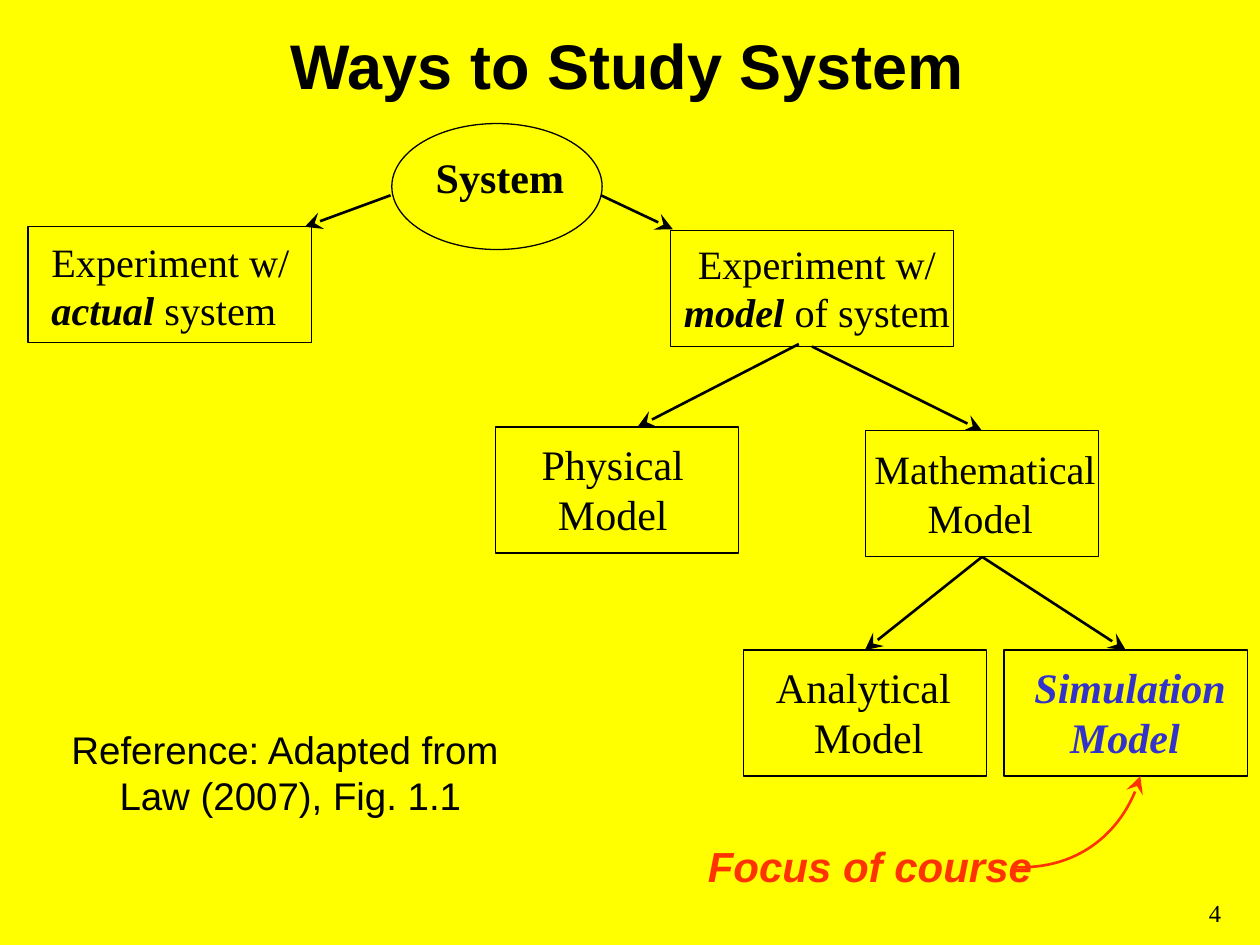
from lxml import etree
from pptx import Presentation
from pptx.dml.color import RGBColor
from pptx.enum.shapes import MSO_CONNECTOR, MSO_SHAPE
from pptx.enum.text import MSO_ANCHOR, PP_ALIGN
from pptx.oxml.ns import qn
from pptx.util import Pt

SERIF, SANS = "Times New Roman", "Arial"
BLACK, RED, BLUE = "000000", "FF3300", "3333CC"
LEFT, CENTER, RIGHT = PP_ALIGN.LEFT, PP_ALIGN.CENTER, PP_ALIGN.RIGHT
TOP, BOTTOM = 0, 2
STEALTH = {"type": "stealth", "w": "lg", "len": "lg"}


def rgb(value):
    return RGBColor.from_string(value)


def add_text(box, paragraphs, size, font=SERIF, color=BLACK, align=CENTER, wrap=False):
    """Each paragraph is a list of (text, bold, italic) runs."""
    tf = s.shapes.add_textbox(*map(Pt, box)).text_frame
    tf.word_wrap = wrap
    for i, runs in enumerate(paragraphs):
        p = tf.paragraphs[0] if i == 0 else tf.add_paragraph()
        p.alignment = align
        for text, bold, italic in runs:
            r = p.add_run()
            r.text = text
            r.font.name, r.font.size = font, Pt(size)
            r.font.bold, r.font.italic = bold, italic
            r.font.color.rgb = rgb(color)
    return tf


prs = Presentation()
prs.slide_width, prs.slide_height = Pt(720), Pt(540)
s = prs.slides.add_slide(prs.slide_layouts[6])
s.background.fill.solid()
s.background.fill.fore_color.rgb = rgb("FFFF00")

# Title and slide number
tf = add_text((57.6, 0, 612, 73), [[("Ways to Study System ", True, False)]], 36, SANS, wrap=True)
tf.vertical_anchor = MSO_ANCHOR.MIDDLE
add_text((555.1, 509.8, 149.8, 36), [[("4", False, False)]], 14, align=RIGHT, wrap=True)

# Outlines of the tree nodes
RECT, OVAL = MSO_SHAPE.RECTANGLE, MSO_SHAPE.OVAL
outlines = {
    "system": (OVAL, 223.9, 70.6, 120.2, 72),
    "actual": (RECT, 16, 129.6, 162, 66.2),
    "model": (RECT, 383, 131.8, 162, 66.2),
    "physical": (RECT, 283, 244, 139, 72),
    "mathematical": (RECT, 494.6, 246.2, 133.2, 72),
    "analytical": (RECT, 424.8, 371.5, 139, 72),
    "simulation": (RECT, 573.8, 371.5, 139, 72),
}
nodes = {}
for name, (kind, *box) in outlines.items():
    sp = s.shapes.add_shape(kind, *map(Pt, box))
    sp.shadow.inherit = False
    sp.fill.background()
    sp.line.color.rgb = rgb(BLACK)
    sp.line.width = Pt(0.75)
    nodes[name] = sp

# Node labels
add_text((241.9, 82.8, 87.8, 36), [[("System", True, False)]], 24, align=LEFT)
for box, word, ending, align in [
    ((22.3, 131.8, 167.8, 62.6), "actual", " system", LEFT),
    ((383, 133.2, 167.8, 62.6), "model", " of system", CENTER),
]:
    runs = [("Experiment w/ ", False, False), (word, True, True), (ending, False, False)]
    add_text(box, [runs], 23, align=align, wrap=True)
for box, lines, size, color, strong in [
    ((302.4, 247, 101.5, 64.8), ("Physical ", "Model "), 24, BLACK, False),
    ((492.5, 250.6, 141.1, 62.6), ("Mathematical", "Model "), 23, BLACK, False),
    ((436.3, 374.4, 120.2, 64.8), ("Analytical ", "Model"), 24, BLACK, False),
    ((583.9, 374.4, 123.8, 64.8), ("Simulation", "Model "), 24, BLUE, True),
]:
    add_text(box, [[(line, strong, strong)] for line in lines], size, color=color)

# Reference and focus notes
reference = ("Reference: Adapted from ", "Law (2007), Fig. 1.1")
add_text((33.1, 411.1, 265.7, 60.5), [[(line, False, False)] for line in reference], 22, SANS)
add_text((397.4, 476.6, 210, 36), [[("Focus of course", True, True)]], 24, SANS, RED, LEFT)

# Arrows: end points, then the nodes joined at the start and the end
for ends, start, end in [
    ((223.2, 111.6, 174.2, 129.6), None, None),
    ((343.4, 111.6, 384.5, 131), None, None),
    ((456.5, 196.6, 364.3, 244), None, None),
    ((461.5, 198, 564.5, 246.2), "model", "mathematical"),
    ((562, 318.2, 490.3, 371.5), "mathematical", "analytical"),
    ((562, 318.2, 644.4, 371.5), "mathematical", "simulation"),
]:
    c = s.shapes.add_connector(MSO_CONNECTOR.STRAIGHT, *map(Pt, ends))
    if start:
        c.begin_connect(nodes[start], BOTTOM)
        c.end_connect(nodes[end], TOP)
    c.line.color.rgb = rgb(BLACK)
    c.line.width = Pt(1.5)
    etree.SubElement(c.line._get_or_add_ln(), qn("a:tailEnd"), STEALTH)
    etree.SubElement(c._element.spPr, qn("a:effectLst"))

# Curved arrow from the focus note to the simulation model
curve = [(651.6, 443.5), (643, 475.9), (612, 497.5), (578.2, 495.4)]
fb = s.shapes.build_freeform(Pt(curve[0][0]), Pt(curve[0][1]))
fb.add_line_segments([(Pt(x), Pt(y)) for x, y in curve[1:]], close=False)
sp = fb.convert_to_shape()
sp.shadow.inherit = False
sp.fill.background()
sp.line.color.rgb = rgb(RED)
sp.line.width = Pt(1.5)
etree.SubElement(sp.line._get_or_add_ln(), qn("a:headEnd"), STEALTH)
# Turn the three segments into one Bezier curve
segments = list(sp._element.iter(qn("a:lnTo")))
bezier = etree.SubElement(segments[0].getparent(), qn("a:cubicBezTo"))
for segment in segments:
    bezier.append(segment[0])
    segment.getparent().remove(segment)

prs.save("out.pptx")
